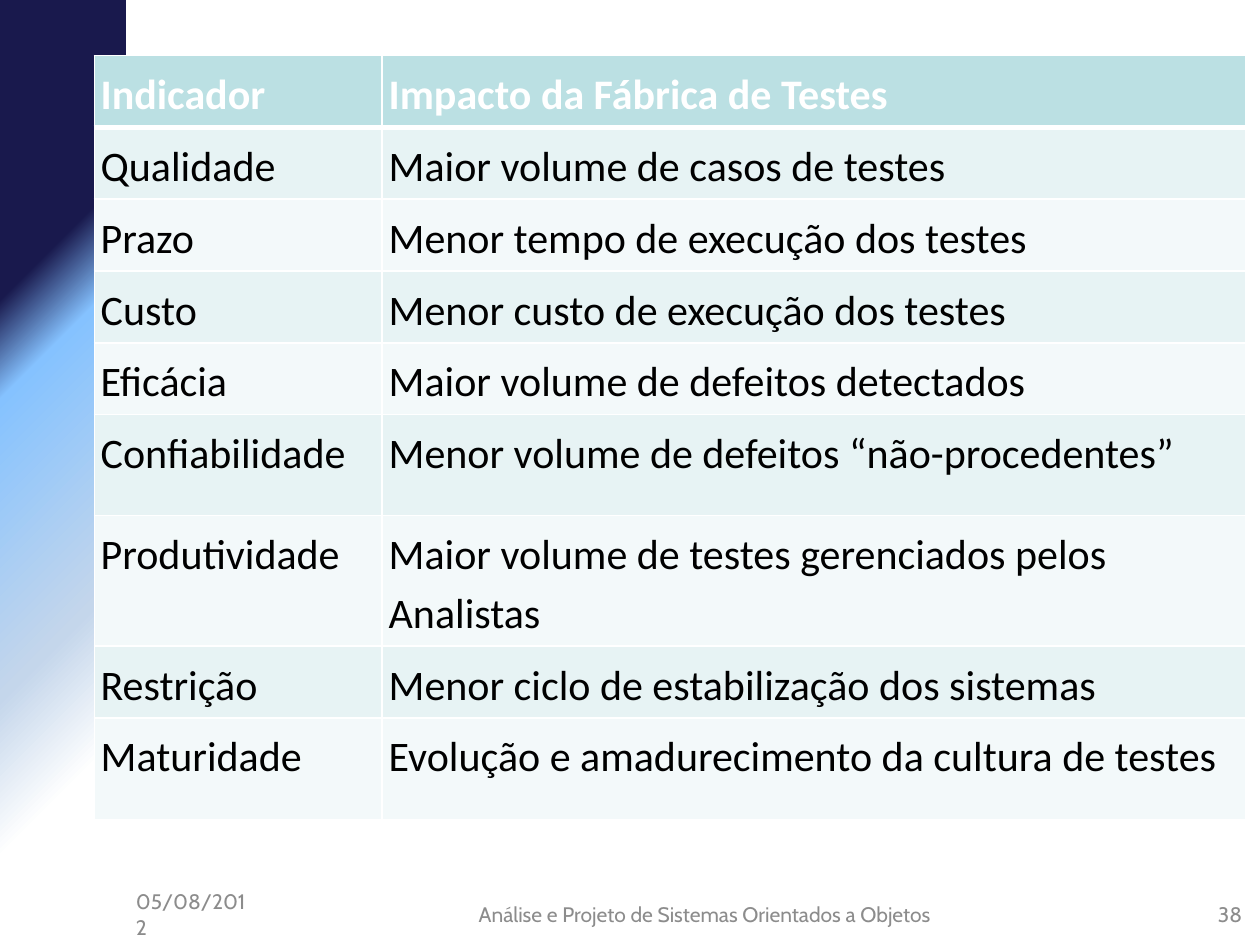
from dataclasses import dataclass

from lxml import etree
from pptx import Presentation
from pptx.dml.color import RGBColor
from pptx.enum import shapes, text
from pptx.oxml import ns
from pptx.util import Cm, Pt


@dataclass(frozen=True)
class Theme:
    header: str = "BBE0E3"
    bands: tuple = ("E7F3F4", "F3F9FA")
    border: str = "FFFFFF"
    header_text: str = "FFFFFF"
    body_text: str = "000000"
    footer_text: str = "8C8C8C"
    gradient: tuple = ((30, "19194D"), (40, "85C2FF"), (70, "C4D6EB"), (86, "FFFFFF"))
    table_font: str = "Calibri"
    footer_font: str = "Cabin"
    table_size: int = 24
    footer_size: int = 12


THEME = Theme()

ROWS = [
    ("Indicador", "Impacto da Fábrica de Testes"),
    ("Qualidade", "Maior volume de casos de testes"),
    ("Prazo", "Menor tempo de execução dos testes"),
    ("Custo", "Menor custo de execução dos testes"),
    ("Eficácia", "Maior volume de defeitos detectados"),
    ("Confiabilidade", "Menor volume de defeitos “não-procedentes”"),
    ("Produtividade", "Maior volume de testes gerenciados pelos Analistas"),
    ("Restrição", "Menor ciclo de estabilização dos sistemas"),
    ("Maturidade", "Evolução e amadurecimento da cultura de testes"),
]
ROW_HEIGHT = 1.32
TALL_ROWS = {5: 2.03, 6: 2.46, 8: 2.06}
COLUMN_SHARES = (0.25, 0.75)


def sub(parent, tag, **attrs):
    return etree.SubElement(parent, ns.qn(tag), {k: str(v) for k, v in attrs.items()})


def style_font(p, name, size, color, bold=False):
    p.font.name = name
    p.font.size = Pt(size)
    p.font.bold = bold
    p.font.color.rgb = RGBColor.from_string(color)


def add_side_band(s, left, top, width, height):
    band = s.shapes.add_shape(shapes.MSO_SHAPE.RECTANGLE,
                              Cm(left), Cm(top), Cm(width), Cm(height))
    band.shadow.inherit = False
    band.line.fill.background()
    band.fill.gradient()
    grad = band.fill._xPr.find(ns.qn("a:gradFill"))
    for child in list(grad):
        grad.remove(child)
    stops = sub(grad, "a:gsLst")
    for percent, color in THEME.gradient:
        sub(sub(stops, "a:gs", pos=percent * 1000), "a:srgbClr", val=color)
    sub(grad, "a:lin", ang=45 * 60000, scaled=0)


def set_borders(cell, top, bottom):
    """Draw the four cell edges; must run before the cell gets its fill."""
    tc_pr = cell._tc.get_or_add_tcPr()
    for side, width in (("L", 1), ("R", 1), ("T", top), ("B", bottom)):
        line = sub(tc_pr, f"a:ln{side}", w=Pt(width))
        sub(sub(line, "a:solidFill"), "a:srgbClr", val=THEME.border)


def fill_cell(cell, words, row):
    header = row == 0
    set_borders(cell, top=3 if row == 1 else 1, bottom=3 if header else 1)
    cell.fill.solid()
    cell.fill.fore_color.rgb = RGBColor.from_string(
        THEME.header if header else THEME.bands[(row - 1) % 2])
    cell.margin_left = cell.margin_right = Cm(0.13)
    cell.margin_top = cell.margin_bottom = Cm(0.13)
    p = cell.text_frame.paragraphs[0]
    p.text = words
    p.line_spacing = 1.15
    style_font(p, THEME.table_font, THEME.table_size,
               THEME.header_text if header else THEME.body_text, bold=header)


def add_indicator_table(s, left, top, width):
    heights = [TALL_ROWS.get(i, ROW_HEIGHT) for i in range(len(ROWS))]
    table = s.shapes.add_table(len(ROWS), len(COLUMN_SHARES), Cm(left), Cm(top),
                               Cm(width), Cm(sum(heights))).table
    for column, share in zip(table.columns, COLUMN_SHARES):
        column.width = Cm(width * share)
    for i, (words, height) in enumerate(zip(ROWS, heights)):
        table.rows[i].height = Cm(height)
        for j, word in enumerate(words):
            fill_cell(table.cell(i, j), word, i)


def add_footer(s, left, top, height):
    align = text.PP_ALIGN
    parts = (
        (0, 2.8, "05/08/2012", align.LEFT),
        (3.02, 17.4, "Análise e Projeto de Sistemas Orientados a Objetos", align.CENTER),
        (20.6, 2.2, "38", align.RIGHT),
    )
    for offset, width, words, alignment in parts:
        tf = s.shapes.add_textbox(Cm(left + offset), Cm(top),
                                  Cm(width), Cm(height)).text_frame
        tf.word_wrap = True
        tf.vertical_anchor = text.MSO_ANCHOR.MIDDLE
        p = tf.paragraphs[0]
        p.text = words
        p.alignment = alignment
        style_font(p, THEME.footer_font, THEME.footer_size, THEME.footer_text)


def main():
    prs = Presentation()
    prs.slide_width, prs.slide_height = Cm(25.4), Cm(19.05)
    s = prs.slides.add_slide(prs.slide_layouts[6])
    add_side_band(s, 0, 0, 2.54, 17.6)
    add_indicator_table(s, 1.9, 1.12, 23.22)
    add_footer(s, 2.49, 17.92, 1.02)
    prs.save("out.pptx")


if __name__ == "__main__":
    main()
